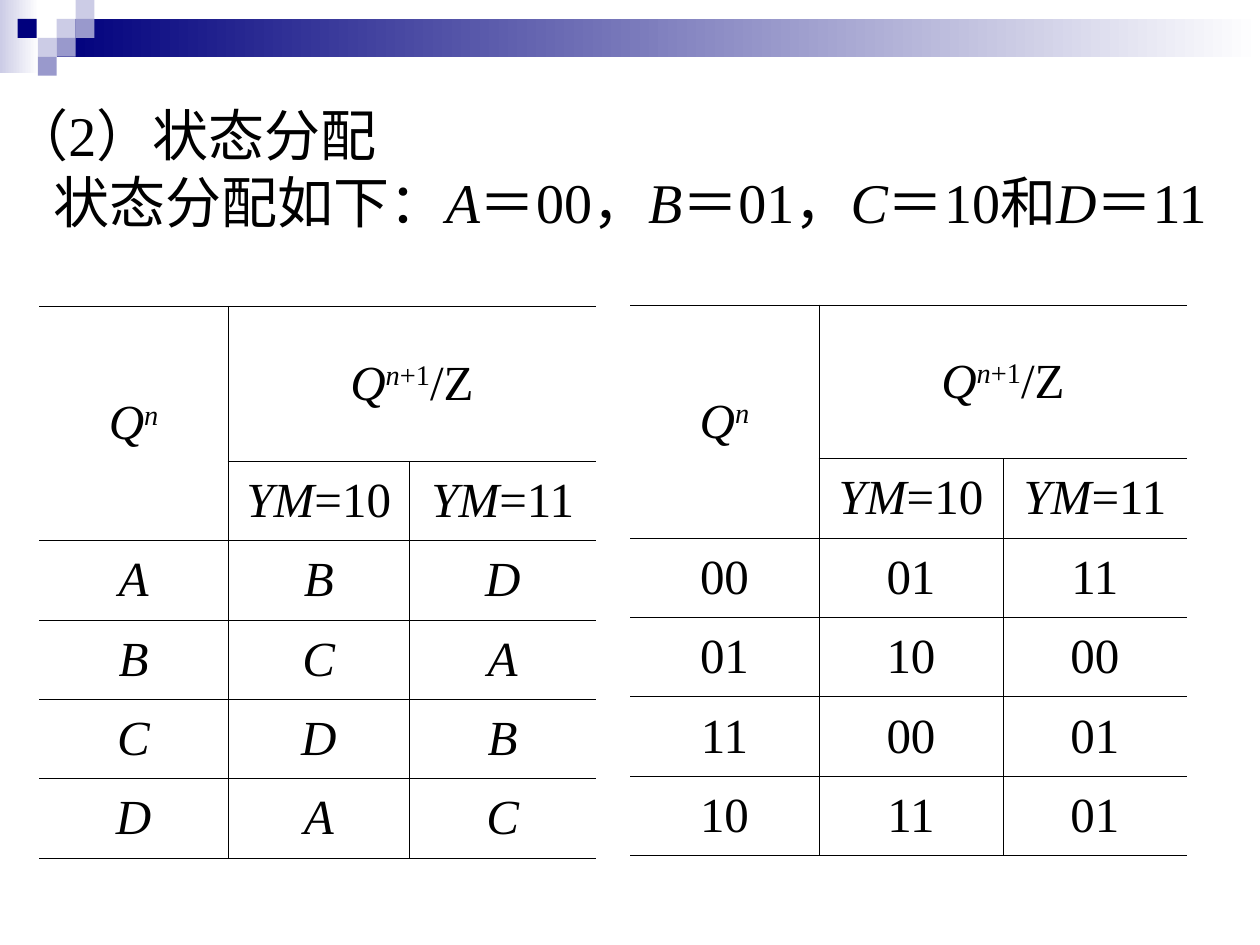
from lxml import etree
from pptx import Presentation
from pptx.dml.color import RGBColor
from pptx.enum.lang import MSO_LANGUAGE_ID
from pptx.enum.shapes import MSO_SHAPE
from pptx.enum.text import MSO_ANCHOR, PP_ALIGN
from pptx.oxml.ns import qn
from pptx.util import Inches, Pt

RECTANGLE = MSO_SHAPE.RECTANGLE
MIDDLE = MSO_ANCHOR.MIDDLE
LEFT, CENTER = PP_ALIGN.LEFT, PP_ALIGN.CENTER
CHINESE = MSO_LANGUAGE_ID.SIMPLIFIED_CHINESE

COLORS = {"navy": "00007D", "violet": "9999CC", "lilac": "CCCCE6",
          "white": "FFFFFF", "black": "000000"}
FONT = "Times New Roman"
BORDER = Pt(0.45)
SQUARE = 0.15
SQUARES = [  # left, top, colour
    (0.45, 0.15, "lilac"), (0.6, 0, "lilac"), (0.6, 0.15, "violet"),
    (0.3, 0.3, "lilac"), (0.14, 0.15, "navy"), (0.45, 0.3, "violet"),
    (0.3, 0.45, "violet"),
]

# Each span is a text and its style: "i" italic, "^" superscript.
TITLE = [("（2）状态分配", "")]
ASSIGNMENT = [("状态分配如下：", ""), ("A", "i"), ("＝00，", ""), ("B", "i"),
              ("＝01，", ""), ("C", "i"), ("＝10和", ""), ("D", "i"), ("＝11", "")]
STATE = [("Q", "i"), ("n", "i^")]
NEXT_STATE = [("Q", "i"), ("n", "i^"), ("+1", "^"), ("/Z", "")]
INPUTS = [[("YM", "i"), ("=10", "")], [("YM", "i"), ("=11", "")]]
SYMBOLS = ["ABD", "BCA", "CDB", "DAC"]
CODES = [["00", "01", "11"], ["01", "10", "00"], ["11", "00", "01"], ["10", "11", "01"]]


def color(name):
    return RGBColor.from_string(COLORS[name])


def write(para, spans, size, align):
    para.alignment = align
    para.font.name = FONT
    para.font.size = Pt(size)
    para.font.color.rgb = color("black")
    para.font.language_id = CHINESE
    for text, style in spans:
        span = para.add_run()
        span.text = text
        if "i" in style:
            span.font.italic = True
        if "^" in style:
            span.font._element.set("baseline", "30000")


def add_block(page, left, top, width, height, start, end=None):
    """Add a borderless rectangle, fading from start to end if end is given."""
    block = page.shapes.add_shape(
        RECTANGLE, Inches(left), Inches(top), Inches(width), Inches(height))
    block.shadow.inherit = False
    block.line.fill.background()
    if end is None:
        block.fill.solid()
        block.fill.fore_color.rgb = color(start)
        return
    block.fill.gradient()
    block.fill.gradient_angle = 180
    for stop, name in zip(block.fill.gradient_stops, (start, end)):
        stop.color.rgb = color(name)


def add_banner(page, left, top, width):
    add_block(page, left, top, 0.31, 0.58, "white", "lilac")
    add_block(page, left + 0.45, top + 0.15, width - 0.45, 0.3, "white", "navy")
    for x, y, name in SQUARES:
        add_block(page, left + x, top + y, SQUARE, SQUARE, name)


def add_heading(page, left, top, width, height):
    box = page.shapes.add_textbox(
        Inches(left), Inches(top), Inches(width), Inches(height))
    frame = box.text_frame
    frame.word_wrap = True
    frame.vertical_anchor = MIDDLE
    write(frame.paragraphs[0], TITLE, 32, LEFT)
    write(frame.add_paragraph(), ASSIGNMENT, 32, CENTER)


def set_borders(cell, sides):
    """Draw the given sides of a cell (L, R, T, B) and clear the others."""
    props = cell._tc.get_or_add_tcPr()
    for side in "LRTB":
        line = etree.SubElement(props, qn(f"a:ln{side}"), w=str(BORDER))
        if side in sides:
            fill = etree.SubElement(line, qn("a:solidFill"))
            etree.SubElement(fill, qn("a:srgbClr"), val=COLORS["black"])
        else:
            etree.SubElement(line, qn("a:noFill"))


def add_state_table(page, left, top, widths, header_height, states, style):
    heights = [header_height] + [0.63] * (len(states) + 1)
    table = page.shapes.add_table(
        len(heights), len(widths), Inches(left), Inches(top),
        Inches(sum(widths)), Inches(sum(heights))).table
    table.first_row = table.horz_banding = False
    for column, width in zip(table.columns, widths):
        column.width = Inches(width)
    for row, height in zip(table.rows, heights):
        row.height = Inches(height)
    table.cell(0, 0).merge(table.cell(1, 0))
    table.cell(0, 1).merge(table.cell(0, 2))

    contents = [[STATE, NEXT_STATE, []], [[]] + INPUTS]
    contents += [[[(text, style)] for text in row] for row in states]
    for r, row in enumerate(contents):
        for c, spans in enumerate(row):
            cell = table.cell(r, c)
            if not cell.is_spanned:
                reaches_edge = c + cell.span_width >= len(widths)
                sides = "TB" + ("L" if c else "") + ("" if reaches_edge else "R")
                set_borders(cell, sides)
                cell.vertical_anchor = MIDDLE
                write(cell.text_frame.paragraphs[0], spans, 28, CENTER)
            cell.fill.background()


def main():
    deck = Presentation()
    deck.slide_width, deck.slide_height = Inches(10), Inches(7.5)
    page = deck.slides.add_slide(deck.slide_layouts[6])
    add_banner(page, 0, 0, 10)
    add_state_table(page, 5, 2.42, [1.5, 1.46, 1.46], 1.22, CODES, "")
    add_state_table(page, 0.31, 2.43, [1.5, 1.44, 1.48], 1.23, SYMBOLS, "i")
    add_heading(page, 0, 0.48, 10, 1.7)
    deck.save("out.pptx")


if __name__ == "__main__":
    main()
